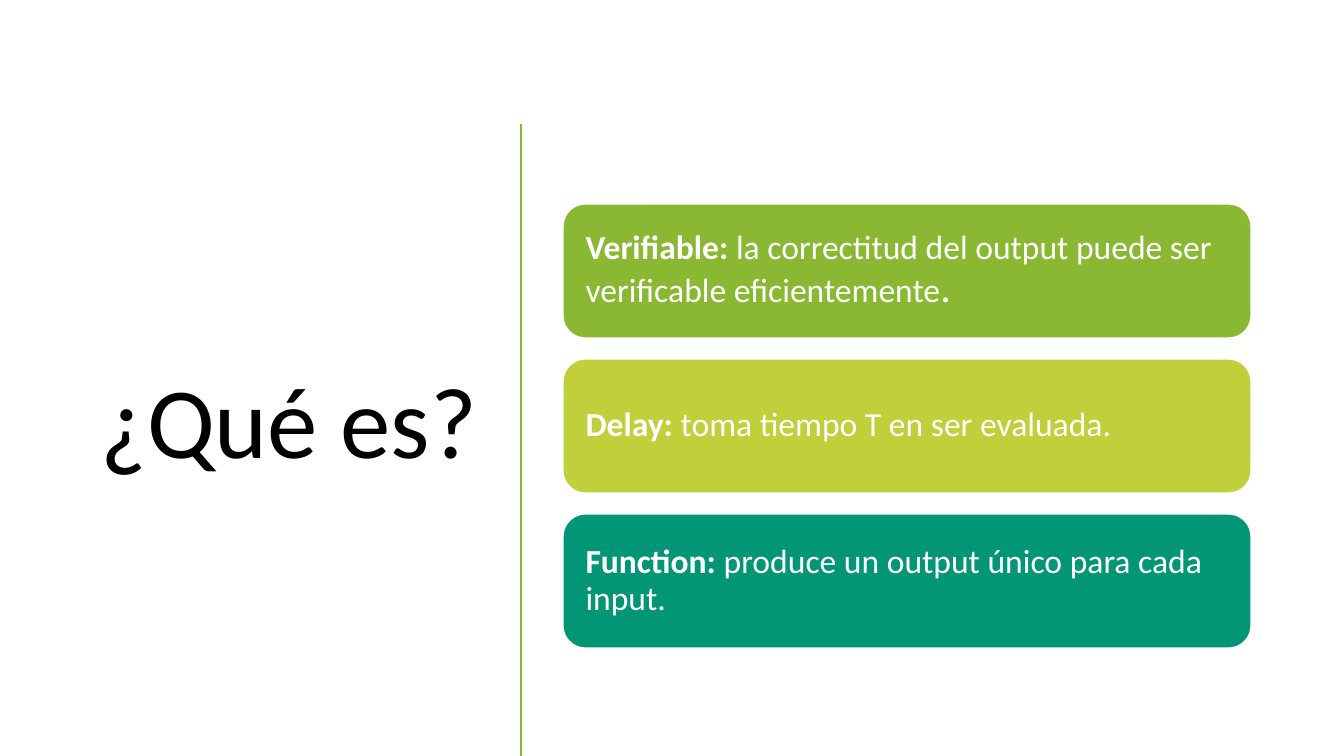
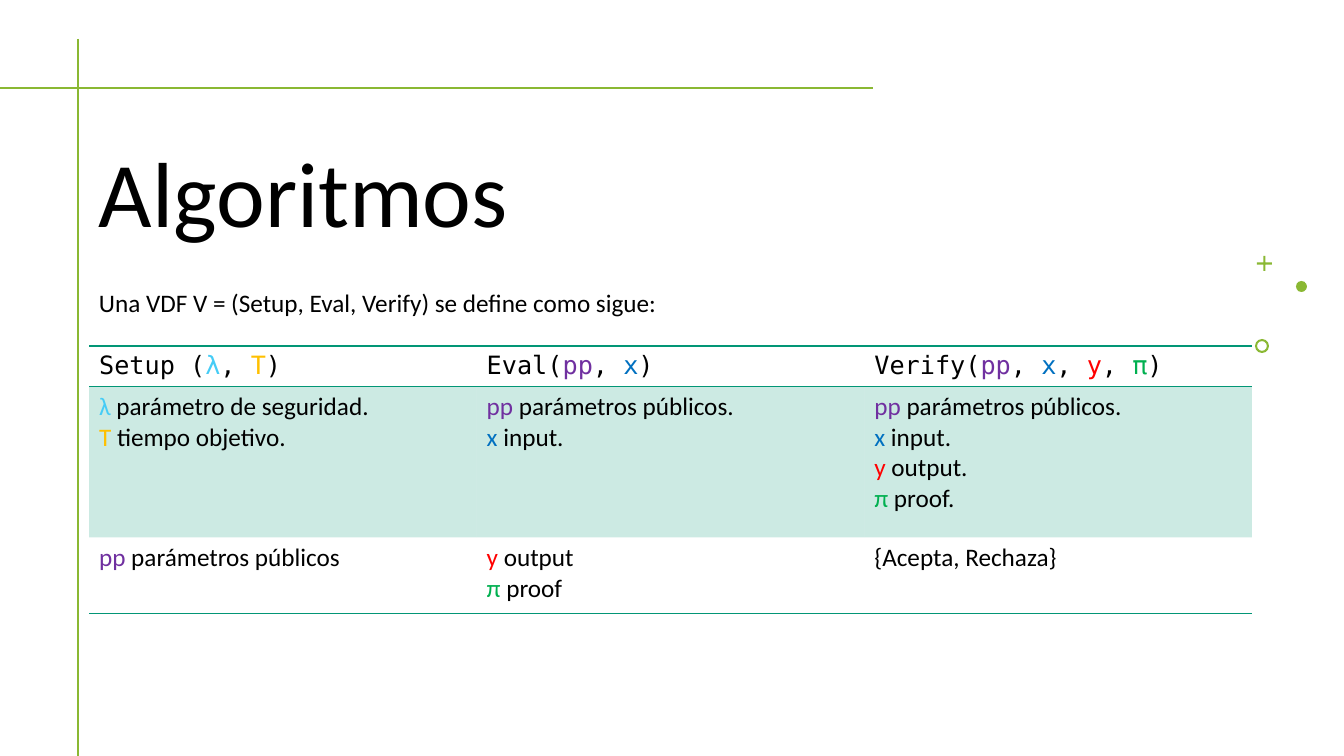
"""Build two slides that define a verifiable delay function and its algorithms."""
import pptx
import pptx.dml.color
import pptx.enum.shapes
import pptx.enum.text
import pptx.oxml
import pptx.oxml.ns
import pptx.util

SHAPE = pptx.enum.shapes.MSO_SHAPE
ANCHOR = pptx.enum.text.MSO_ANCHOR
ALIGN = pptx.enum.text.PP_ALIGN

SCALE = 914400 / 100.8
SLIDE_SIZE = (1344, 756)
SANS, MONO = "Calibri", "DejaVu Sans Mono"
BLACK, WHITE, LEAF, TEAL = "000000", "FFFFFF", "8AB833", "029676"
PLAIN_TABLE = "{2D5ABB26-0587-4C30-8999-92F81FD0307C}"

QUESTION = "¿Qué es?"
CARDS = [
    (LEAF, [("Verifiable: ", True, 24),
            ("la correctitud del output puede ser verificable eficientemente", False, 24),
            (".", False, 30)]),
    ("C0CF3A", [("Delay: ", True, 24), ("toma tiempo T en ser evaluada.", False, 24)]),
    (TEAL, [("Function: ", True, 24), ("produce un output único para cada input.", False, 24)]),
]
CARD_BOX = (563, 204, 688, 134)
CARD_STEP = 155

HEADING = "Algoritmos"
INTRO = "Una VDF V = (Setup, Eval, Verify) se define como sigue:"
VARIABLES = {"λ": "46CCF6", "T": "FFC000", "pp": "7030A0",
             "x": "0070C0", "y": "FF0000", "π": "00B050"}
ROWS = [
    ["Setup (|λ|, |T|)", "Eval(|pp|, |x|)", "Verify(|pp|, |x|, |y|, |π|)"],
    ["λ| parámetro de seguridad.\nT| tiempo objetivo.",
     "pp| parámetros públicos.\nx| input.",
     "pp| parámetros públicos.\nx| input.\ny| output.\nπ| proof."],
    ["pp| parámetros públicos", "y| output\nπ| proof", "{Acepta, Rechaza}"],
]
ROW_HEIGHTS = [39, 151, 76]
ROW_BORDERS = [("a:lnT", "a:lnB"), (), ("a:lnB",)]
TABLE_BOX = (89, 346, 1163, sum(ROW_HEIGHTS))
ORNAMENTS = [
    (SHAPE.CROSS, (1257, 256, 15, 15), 0.43),
    (SHAPE.OVAL, (1296, 281, 11, 11), None),
    (SHAPE.DONUT, (1255, 339, 14, 14), 0.15),
]


def px(length):
    return pptx.util.Emu(round(length * SCALE))


def place(box):
    return [px(length) for length in box]


def color(code):
    return pptx.dml.color.RGBColor.from_string(code)


def paint(target, code):
    target.fill.solid()
    target.fill.fore_color.rgb = color(code)


def style(para, size, code=BLACK, font=SANS):
    para.font.name = font
    para.font.size = pptx.util.Pt(size)
    para.font.color.rgb = color(code)


def add_text(page, box, text, size, anchor, align=ALIGN.LEFT):
    frame = page.shapes.add_textbox(*place(box)).text_frame
    frame.word_wrap = True
    frame.vertical_anchor = anchor
    para = frame.paragraphs[0]
    para.text = text
    para.alignment = align
    para.line_spacing = 0.9
    style(para, size)


def add_rule(page, x1, y1, x2, y2):
    rule = page.shapes.add_connector(
        pptx.enum.shapes.MSO_CONNECTOR.STRAIGHT, *place((x1, y1, x2, y2)))
    rule.line.color.rgb = color(LEAF)
    rule.line.width = pptx.util.Pt(2)
    properties = rule._element.spPr
    properties.append(properties.makeelement(pptx.oxml.ns.qn("a:effectLst"), {}))


def add_filled(page, kind, box, code):
    shape = page.shapes.add_shape(kind, *place(box))
    shape.shadow.inherit = False
    paint(shape, code)
    shape.line.fill.background()
    return shape


def add_card(page, index, code, pieces):
    left, top, width, height = CARD_BOX
    card = add_filled(page, SHAPE.ROUNDED_RECTANGLE,
                      (left, top + index * CARD_STEP, width, height), code)
    card.line.color.rgb = color(WHITE)
    card.line.width = pptx.util.Pt(1)
    frame = card.text_frame
    frame.word_wrap = True
    frame.margin_left = frame.margin_right = px(16)
    frame.vertical_anchor = ANCHOR.MIDDLE
    para = frame.paragraphs[0]
    para.alignment = ALIGN.LEFT
    para.line_spacing = 0.9
    style(para, 24, WHITE)
    for text, bold, size in pieces:
        span = para.add_run()
        span.text = text
        span.font.bold = bold
        span.font.size = pptx.util.Pt(size)


def fill_cell(cell, text, font):
    for index, line in enumerate(text.split("\n")):
        frame = cell.text_frame
        para = frame.add_paragraph() if index else frame.paragraphs[0]
        style(para, 18, font=font)
        for piece in line.split("|"):
            span = para.add_run()
            span.text = piece
            span.font.color.rgb = color(VARIABLES.get(piece, BLACK))


def tint_cell(cell):
    paint(cell, TEAL)
    shade = cell._tc.tcPr.find(".//" + pptx.oxml.ns.qn("a:srgbClr"))
    shade.append(shade.makeelement(pptx.oxml.ns.qn("a:alpha"), {"val": "20000"}))


def add_borders(cell, sides):
    for index, side in enumerate(sides):
        border = pptx.oxml.parse_xml(
            f'<{side} {pptx.oxml.ns.nsdecls("a")} w="12700"><a:solidFill>'
            f'<a:srgbClr val="{TEAL}"/></a:solidFill></{side}>')
        cell._tc.get_or_add_tcPr().insert(index, border)


def add_algorithms(page):
    table = page.shapes.add_table(len(ROWS), len(ROWS[0]), *place(TABLE_BOX)).table
    table.first_row = table.horz_banding = False
    table._tbl.tblPr.find(pptx.oxml.ns.qn("a:tableStyleId")).text = PLAIN_TABLE
    for column in table.columns:
        column.width = px(TABLE_BOX[2] / len(ROWS[0]))
    for row, texts in enumerate(ROWS):
        table.rows[row].height = px(ROW_HEIGHTS[row])
        for column, text in enumerate(texts):
            cell = table.cell(row, column)
            fill_cell(cell, text, SANS if row else MONO)
            if row == 1:
                tint_cell(cell)
            else:
                cell.fill.background()
            add_borders(cell, ROW_BORDERS[row])


def build_definition(page):
    add_text(page, (52, 118, 435, 616), QUESTION, 72, ANCHOR.MIDDLE, ALIGN.RIGHT)
    add_rule(page, 521, 124, 521, 756)
    for index, (code, pieces) in enumerate(CARDS):
        add_card(page, index, code, pieces)


def build_algorithms(page):
    add_rule(page, 78, 39, 78, 756)
    add_text(page, (89, 122, 1163, 130), HEADING, 66, ANCHOR.BOTTOM)
    add_rule(page, 0, 88, 873, 88)
    add_text(page, (89, 286, 1163, 51), INTRO, 18, ANCHOR.TOP)
    for kind, box, adjustment in ORNAMENTS:
        ornament = add_filled(page, kind, box, LEAF)
        if adjustment is not None:
            ornament.adjustments[0] = adjustment
    add_algorithms(page)


deck = pptx.Presentation()
deck.slide_width, deck.slide_height = place(SLIDE_SIZE)
for build in (build_definition, build_algorithms):
    build(deck.slides.add_slide(deck.slide_layouts[6]))
deck.save("out.pptx")
